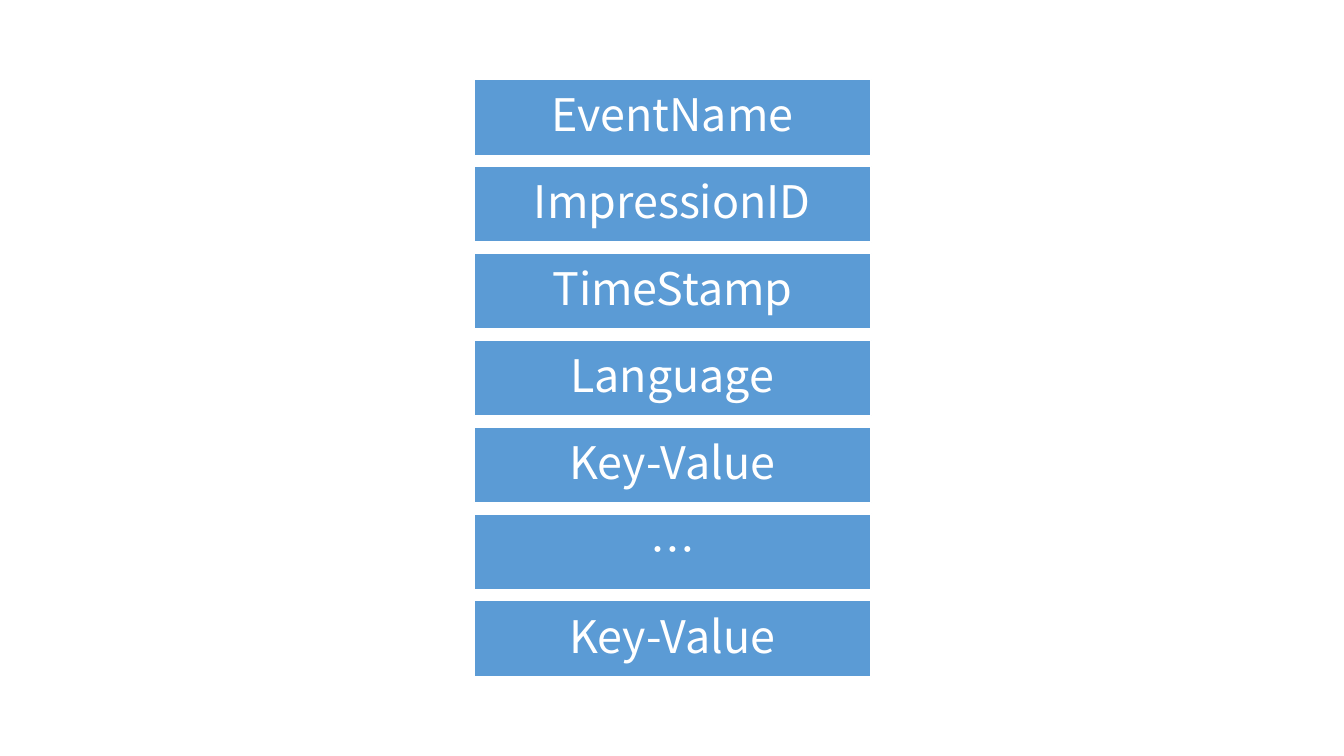
import pptx
import pptx.util
import pptx.dml.color
import pptx.enum.shapes
import pptx.enum.text
import pptx.oxml.ns
import lxml.etree

BLUE = pptx.dml.color.RGBColor(0x5B, 0x9B, 0xD5)
WHITE = pptx.dml.color.RGBColor(0xFF, 0xFF, 0xFF)
FONT = "Noto Sans CJK SC"

FIELDS = ["EventName", "ImpressionID", "TimeStamp", "Language",
          "Key-Value", "…", "Key-Value"]


def write_text(shape, text, *, size, color, font=FONT, margin=0.09,
               line_spacing=0.9, space_after=0.35):
    """Fill a shape with one centred paragraph; space_after is a share of size."""
    frame = shape.text_frame
    frame.word_wrap = True
    frame.vertical_anchor = pptx.enum.text.MSO_ANCHOR.MIDDLE
    frame.margin_left = frame.margin_right = pptx.util.Inches(margin)
    frame.margin_top = frame.margin_bottom = pptx.util.Inches(margin)
    paragraph = frame.paragraphs[0]
    paragraph.alignment = pptx.enum.text.PP_ALIGN.CENTER
    paragraph.line_spacing = line_spacing
    paragraph.space_after = pptx.util.Pt(size * space_after)
    run = paragraph.add_run()
    run.text = text
    run.font.size = pptx.util.Pt(size)
    run.font.name = font
    run.font.color.rgb = color
    # East Asian face, used for the ellipsis
    east_asian = lxml.etree.SubElement(run.font._element, pptx.oxml.ns.qn("a:ea"))
    east_asian.set("typeface", font)


class RecordDiagram:
    """A column of record fields, placed on rows of equal pitch."""

    left, top, width, height = 4.7, 0.79, 3.94, 0.75
    last_top = 5.96
    text_size = 32

    def __init__(self, slide, row_count):
        self.slide = slide
        self.pitch = (self.last_top - self.top) / (row_count - 1)

    def field(self, row, text):
        box = [self.left, self.top + row * self.pitch, self.width, self.height]
        shape = self.slide.shapes.add_shape(
            pptx.enum.shapes.MSO_SHAPE.RECTANGLE, *map(pptx.util.Inches, box))
        shape.shadow.inherit = False
        shape.fill.solid()
        shape.fill.fore_color.rgb = BLUE
        shape.line.color.rgb = WHITE
        shape.line.width = pptx.util.Pt(1)
        write_text(shape, text, size=self.text_size, color=WHITE)


def main():
    # Blank widescreen slide
    presentation = pptx.Presentation()
    presentation.slide_width = pptx.util.Inches(13.33)
    presentation.slide_height = pptx.util.Inches(7.5)
    slide = presentation.slides.add_slide(presentation.slide_layouts[6])

    # Record fields, top to bottom
    diagram = RecordDiagram(slide, len(FIELDS))
    for row, name in enumerate(FIELDS):
        diagram.field(row, name)

    presentation.save("out.pptx")


if __name__ == "__main__":
    main()
